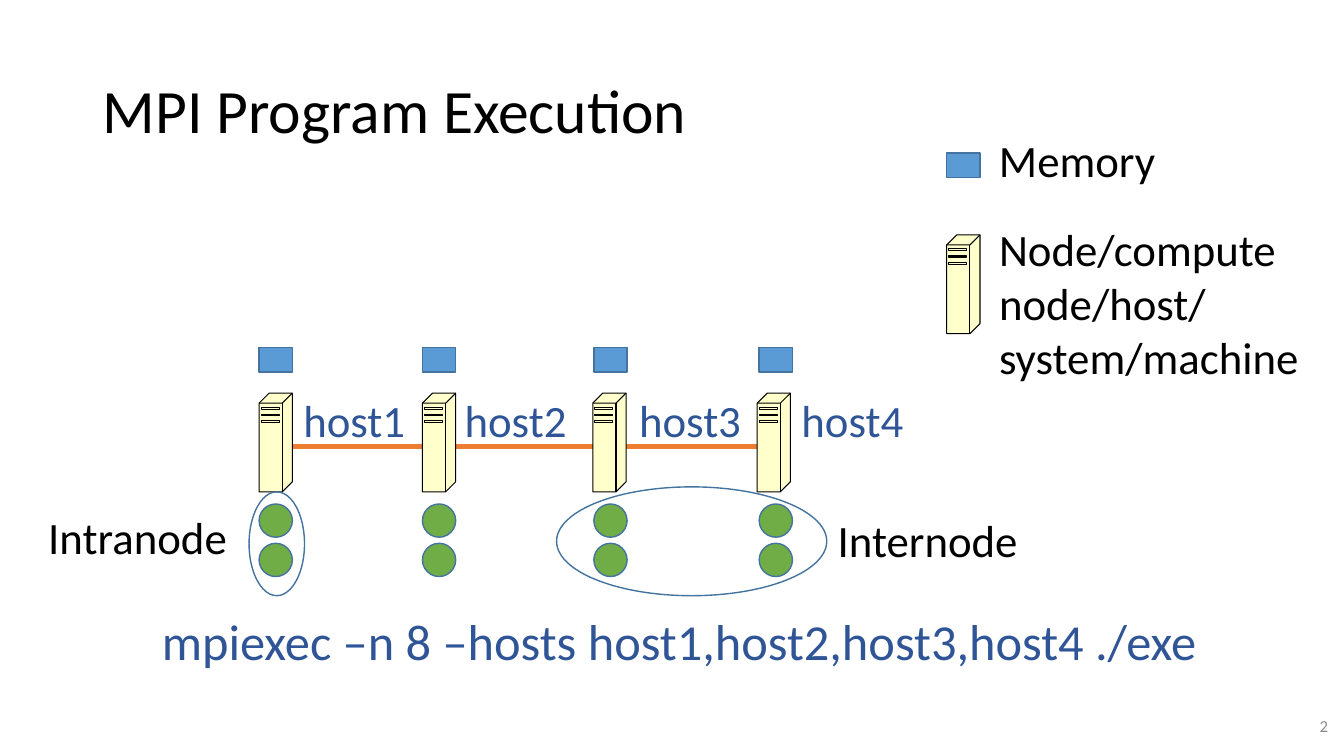
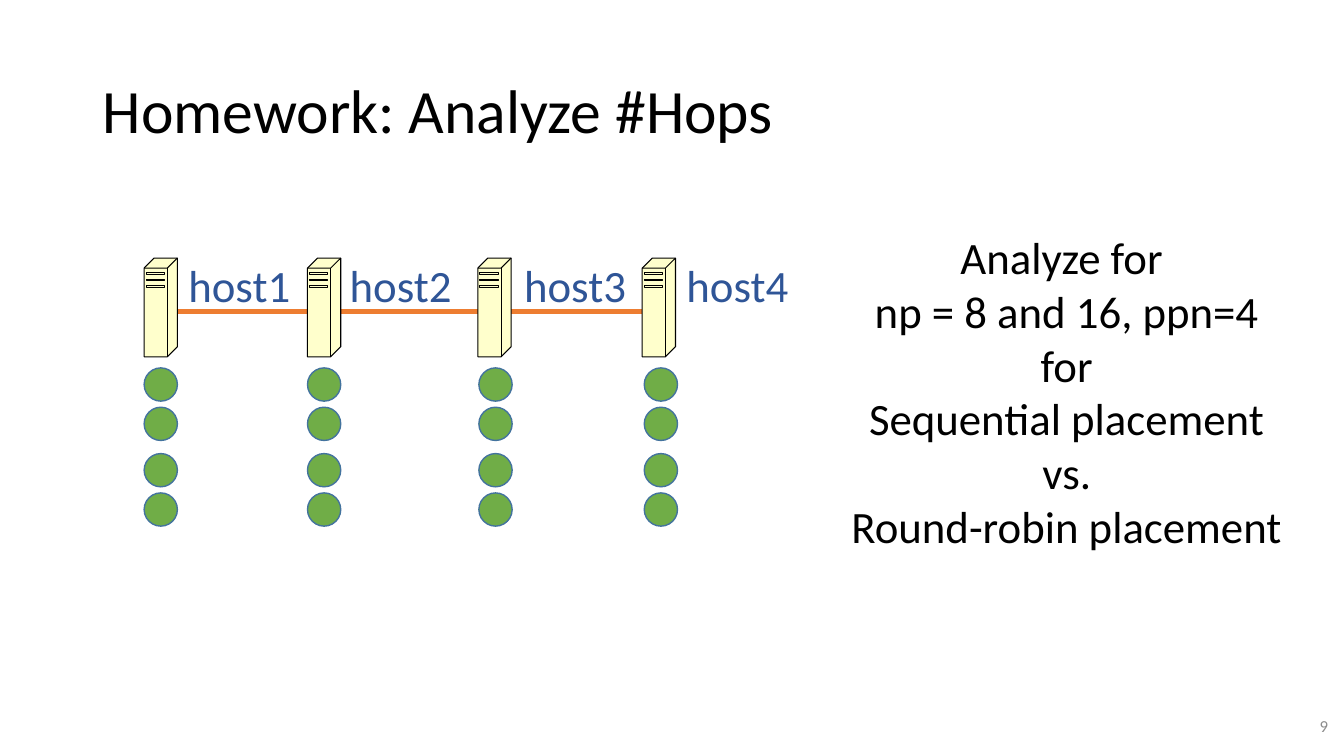
from dataclasses import dataclass

from pptx import Presentation
from pptx.dml.color import RGBColor
from pptx.enum.shapes import MSO_CONNECTOR, MSO_SHAPE
from pptx.enum.text import MSO_ANCHOR, PP_ALIGN
from pptx.slide import Slide
from pptx.util import Emu, Pt
from lxml import etree

SCALE = 9144  # EMU per px: 100 px make one inch
FONT = "Calibri"
INK = {
    "text": "000000",
    "host": "2F5597",
    "page": "8C8C8C",
    "memory": "5B9BD5",
    "process": "70AD47",
    "edge": "43739E",
    "link": "ED7D31",
    "server": "FFFFCC",
    "outline": "000000",
}
DRAWING = "http://schemas.openxmlformats.org/drawingml/2006/main"

# Server outline and face edges, measured from its top left corner
BODY = [(0, 10), (10, 0), (33, 0), (33, 88), (23, 98), (0, 98)]
LID = [(0, 10), (23, 10), (33, 0)]
FRONT = [(23, 10), (23, 98)]
SLOTS = [(14, 16), (21, 22), (27, 29)]
SIDE = 33


@dataclass(frozen=True)
class Box:
    left: int
    top: int
    width: int
    height: int


@dataclass(frozen=True)
class Host:
    """Offsets of one host's parts from the left end of the cluster."""
    name: str
    server: int
    stack: int
    label: int


HOSTS = [
    Host("host1", 0, 0, 34),
    Host("host2", 162, 162, 194),
    Host("host3", 331, 332, 367),
    Host("host4", 494, 496, 528),
]


def px(count: int) -> Emu:
    return Emu(count * SCALE)


def rgb(name: str) -> RGBColor:
    return RGBColor.from_string(INK[name])


def write(slide: Slide, box: Box, *lines: str, size: int = 32,
          ink: str = "text", align: PP_ALIGN = PP_ALIGN.LEFT,
          anchor: MSO_ANCHOR = MSO_ANCHOR.TOP, gap: float = 1.0) -> None:
    """Add a text box with one paragraph per line."""
    frame = slide.shapes.add_textbox(
        px(box.left), px(box.top), px(box.width), px(box.height)).text_frame
    frame.word_wrap = True
    frame.vertical_anchor = anchor
    for index, line in enumerate(lines):
        para = frame.add_paragraph() if index else frame.paragraphs[0]
        para.text = line
        para.alignment = align
        para.line_spacing = gap
        para.font.name = FONT
        para.font.size = Pt(size)
        para.font.color.rgb = rgb(ink)


def paint(shape, fill: str | None, edge: str, width: float) -> None:
    """Set fill (None for hollow) and line, without a shadow."""
    shape.shadow.inherit = False
    if fill:
        shape.fill.solid()
        shape.fill.fore_color.rgb = rgb(fill)
    else:
        shape.fill.background()
    shape.line.color.rgb = rgb(edge)
    shape.line.width = Pt(width)


def draw(slide: Slide, kind: MSO_SHAPE, box: Box,
         fill: str | None = None) -> None:
    shape = slide.shapes.add_shape(
        kind, px(box.left), px(box.top), px(box.width), px(box.height))
    paint(shape, fill, "edge", 1)


def memory(slide: Slide, left: int, top: int) -> None:
    draw(slide, MSO_SHAPE.RECTANGLE, Box(left, top, SIDE, 24), "memory")


def server(slide: Slide, left: int, top: int) -> None:
    group = slide.shapes.add_group_shape().shapes
    body = group.build_freeform(*BODY[0], scale=SCALE)
    body.add_line_segments(BODY[1:], close=True)
    paint(body.convert_to_shape(px(left), px(top)), "server", "outline", 0.75)

    trim = group.build_freeform(*LID[0], scale=SCALE)
    trim.add_line_segments(LID[1:], close=False)
    trim.move_to(*FRONT[0])
    trim.add_line_segments(FRONT[1:], close=False)
    for upper, lower in SLOTS:
        trim.move_to(2, upper)
        trim.add_line_segments([(20, upper), (20, lower), (2, lower)])
    paint(trim.convert_to_shape(px(left), px(top)), None, "outline", 0.75)


def link(slide: Slide, left: int, right: int, top: int) -> None:
    line = slide.shapes.add_connector(
        MSO_CONNECTOR.STRAIGHT, px(left), px(top), px(right), px(top))
    line.line.color.rgb = rgb("link")
    line.line.width = Pt(3)
    etree.SubElement(line._element.spPr, f"{{{DRAWING}}}effectLst")


def cluster(slide: Slide, left: int, top: int, rows: list[int]) -> None:
    """Draw linked hosts, each with processes at the given row offsets."""
    link(slide, left, left + HOSTS[-1].server + SIDE, top + 53)
    for host in HOSTS:
        server(slide, left + host.server, top)
        write(slide, Box(left + host.label, top - 5, 133, 64), host.name,
              ink="host")
        for row in rows:
            draw(slide, MSO_SHAPE.OVAL,
                 Box(left + host.stack, top + row, SIDE, SIDE), "process")


def start(deck, title: str, page: int) -> Slide:
    """Add a slide with its title and page number."""
    slide = deck.slides.add_slide(deck.slide_layouts[6])
    write(slide, Box(92, 40, 1150, 145), title, size=44,
          anchor=MSO_ANCHOR.MIDDLE, gap=0.9)
    write(slide, Box(1027, 700, 300, 40), str(page), size=12, ink="page",
          align=PP_ALIGN.RIGHT, anchor=MSO_ANCHOR.MIDDLE)
    return slide


def launch(deck) -> None:
    slide = start(deck, "MPI Program Execution", 2)
    left, top = 257, 390
    cluster(slide, left, top, [110, 149])
    for host in HOSTS:
        memory(slide, left + host.stack, top - 45)
    draw(slide, MSO_SHAPE.OVAL, Box(552, 483, 268, 108))
    draw(slide, MSO_SHAPE.OVAL, Box(247, 488, 55, 103))
    write(slide, Box(821, 504, 351, 64), "Internode")
    write(slide, Box(38, 501, 351, 64), "Intranode")
    write(slide, Box(146, 600, 1056, 71),
          "mpiexec –n 8 –hosts host1,host2,host3,host4 ./exe",
          size=36, ink="host", align=PP_ALIGN.CENTER)

    memory(slide, 939, 152)
    write(slide, Box(981, 127, 227, 64), "Memory")
    server(slide, 939, 233)
    write(slide, Box(981, 215, 322, 172),
          "Node/compute node/host/\nsystem/machine")


def homework(deck) -> None:
    slide = start(deck, "Homework: Analyze #Hops", 9)
    cluster(slide, 143, 256, [109, 148, 194, 233])
    write(slide, Box(832, 223, 452, 333),
          "Analyze for ", "np = 8 and 16, ppn=4", "for",
          "Sequential placement", "vs.", "Round-robin placement",
          align=PP_ALIGN.CENTER)


def main() -> None:
    deck = Presentation()
    deck.slide_width, deck.slide_height = px(1333), px(750)
    launch(deck)
    homework(deck)
    deck.save("out.pptx")


if __name__ == "__main__":
    main()
